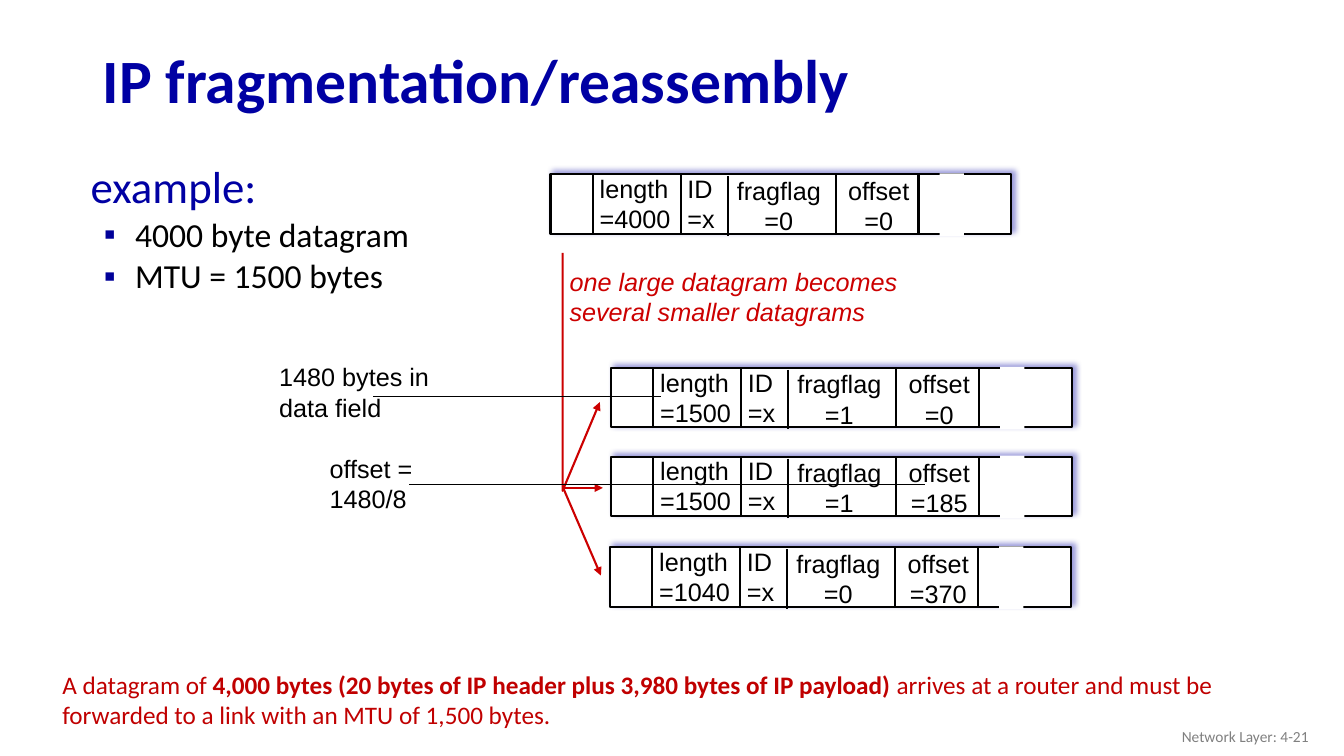
"""Builds the slide on IP fragmentation and reassembly."""
from lxml.etree import SubElement
from pptx import Presentation
from pptx.dml.color import RGBColor
from pptx.enum.shapes import MSO_CONNECTOR, MSO_SHAPE
from pptx.enum.text import MSO_ANCHOR, MSO_AUTO_SIZE, PP_ALIGN
from pptx.oxml.ns import qn
from pptx.util import Inches, Pt

NAVY, RED, BLACK, WHITE = "0000A3", "CC0000", "000000", "FFFFFF"
LEFT, CENTER, RIGHT = PP_ALIGN.LEFT, PP_ALIGN.CENTER, PP_ALIGN.RIGHT


def write(p, text, color, align=LEFT, **fmt):
    """Write text with *bold* parts into a paragraph."""
    p.alignment = align
    for i, part in enumerate(text.split("*")):
        r = p.add_run()
        r.text = part
        r.font.color.rgb = RGBColor.from_string(color)
        for name, value in fmt.items():
            setattr(r.font, name, value)
        if i % 2:
            r.font.bold = True


def outline(sp, color, width, arrow=False):
    """Style a line and return its empty effect list."""
    sp.line.color.rgb = RGBColor.from_string(color)
    sp.line.width = Pt(width)
    spPr = sp._element.spPr
    if arrow:
        SubElement(spPr.find(qn("a:ln")), qn("a:tailEnd"), type="triangle")
    return SubElement(spPr, qn("a:effectLst"))


prs = Presentation()
prs.slide_width, prs.slide_height = Inches(13.33), Inches(7.5)
s = prs.slides.add_slide(prs.slide_layouts[1])
title, body = s.placeholders

title.left, title.top, title.width, title.height = map(Inches, (0.92, 0.34, 11.5, 0.98))
tf = title.text_frame
tf.auto_size = MSO_AUTO_SIZE.NONE
tf.vertical_anchor = MSO_ANCHOR.MIDDLE
tf.paragraphs[0].line_spacing = 0.9
write(tf.paragraphs[0], "IP fragmentation/reassembly", NAVY, name="Calibri", size=Pt(44), bold=True)

body.left, body.top, body.width, body.height = map(Inches, (0.8, 1.61, 4.16, 1.84))
tf = body.text_frame
tf.auto_size = MSO_AUTO_SIZE.NONE
for i, text in enumerate(["example:", "4000 byte datagram", "MTU = 1500 bytes"]):
    p = tf.add_paragraph() if i else tf.paragraphs[0]
    p.line_spacing = 0.85
    p.space_before = Pt(5 if i else 0)
    pPr = p._p.get_or_add_pPr()
    pPr.set("marL", str(Inches(0.44 if i else 0.38)))
    pPr.set("indent", str(Inches(-0.31 if i else -0.38)))
    if i:
        SubElement(SubElement(pPr, qn("a:buClr")), qn("a:srgbClr"), val="000099")
        SubElement(pPr, qn("a:buChar"), char="▪")
    else:
        SubElement(pPr, qn("a:buNone"))
    write(p, text, BLACK if i else NAVY, name="Calibri", size=Pt(24 if i else 32))

arial = dict(name="Arial", size=Pt(18))
calibri = dict(name="Calibri", size=Pt(18))
labels = [
    ((5.55, 2.59, 3.45, 0.7), ["one large datagram becomes", "several smaller datagrams"],
     False, RED, LEFT, dict(arial, italic=True)),
    ((2.67, 3.54, 1.76, 0.7), ["1480 bytes in", "data field"], False, BLACK, LEFT, arial),
    ((3.17, 4.45, 1.03, 0.7), ["offset =", "1480/8"], False, BLACK, LEFT, arial),
    ((0.52, 6.59, 11.9, 0.71),
     ["A datagram of *4,000 bytes (20 bytes of IP header plus 3,980 bytes of IP payload) *"
      "arrives at a router and must be forwarded to a link with an MTU of 1,500 bytes."],
     True, "C00000", LEFT, calibri),
    ((10.08, 7.11, 3, 0.4), ["Network Layer: 4-21"], True, "808080", RIGHT,
     dict(calibri, size=Pt(11))),
]
lines = [
    (5.58, 4.84, 5.98, 4.84, RED, 1.5, True),
    (5.59, 4.85, 5.96, 5.71, RED, 1.5, True),
    (3.7, 3.93, 6.56, 3.93, BLACK, 0.75, False),
    (9.17, 4.81, 4.06, 4.81, BLACK, 0.75, False),
]

fields = [("length", 0.39, -0.06, 0.9, LEFT), ("ID", 1.26, -0.06, 0.47, LEFT),
          ("fragflag", 1.73, -0.04, 1.07, CENTER), ("offset", 2.85, -0.04, 0.81, CENTER)]
dividers = [(0.42, 0), (1.29, 0), (1.76, 0.02), (2.83, 0), (3.65, 0)]
datagrams = [(5.46, 1.73, ("4000", "x", "0", "0")), (6.06, 3.65, ("1500", "x", "1", "0")),
             (6.06, 4.53, ("1500", "x", "1", "185")), (6.05, 5.43, ("1040", "x", "0", "370"))]
for x, y, values in datagrams:
    header = s.shapes.add_shape(MSO_SHAPE.RECTANGLE, *map(Inches, (x, y, 4.57, 0.59)))
    shadow = SubElement(outline(header, BLACK, 1.5), qn("a:outerShdw"), blurRad=str(Pt(4)),
                        dist=str(Pt(3)), dir=str(315 * 60000), algn="bl", rotWithShape="0")
    tint = SubElement(shadow, qn("a:srgbClr"), val=NAVY)
    SubElement(tint, qn("a:alpha"), val="40000")
    gap = s.shapes.add_shape(MSO_SHAPE.RECTANGLE, *map(Inches, (x + 3.86, y - 0.01, 0.24, 0.62)))
    gap.shadow.inherit = False
    gap.line.fill.background()
    for sp in (header, gap):
        sp.fill.solid()
        sp.fill.fore_color.rgb = RGBColor.from_string(WHITE)
    for dx, dy in dividers:
        lines.append((x + dx, y + dy, x + dx, y + dy + 0.59, BLACK, 1.5, False))
    for (field, dx, dy, w, align), value in zip(fields, values):
        labels.append(((x + dx, y + dy, w, 0.7), [field, "=" + value], False, BLACK, align, arial))

fb = s.shapes.build_freeform(Inches(5.58), Inches(2.51))
fb.add_line_segments([(Inches(5.58), Inches(4.87)), (Inches(5.95), Inches(3.99))], close=False)
split = fb.convert_to_shape()
split.fill.background()
outline(split, RED, 1.5, True)

for *ends, color, width, arrow in lines:
    outline(s.shapes.add_connector(MSO_CONNECTOR.STRAIGHT, *map(Inches, ends)), color, width, arrow)

for at, paras, wrap, color, align, fmt in labels:
    tf = s.shapes.add_textbox(*map(Inches, at)).text_frame
    tf.word_wrap = wrap
    if not wrap:
        tf.auto_size = MSO_AUTO_SIZE.SHAPE_TO_FIT_TEXT
    if align == RIGHT:
        tf.vertical_anchor = MSO_ANCHOR.MIDDLE
    for i, text in enumerate(paras):
        write(tf.add_paragraph() if i else tf.paragraphs[0], text, color, align, **fmt)

prs.save("out.pptx")
